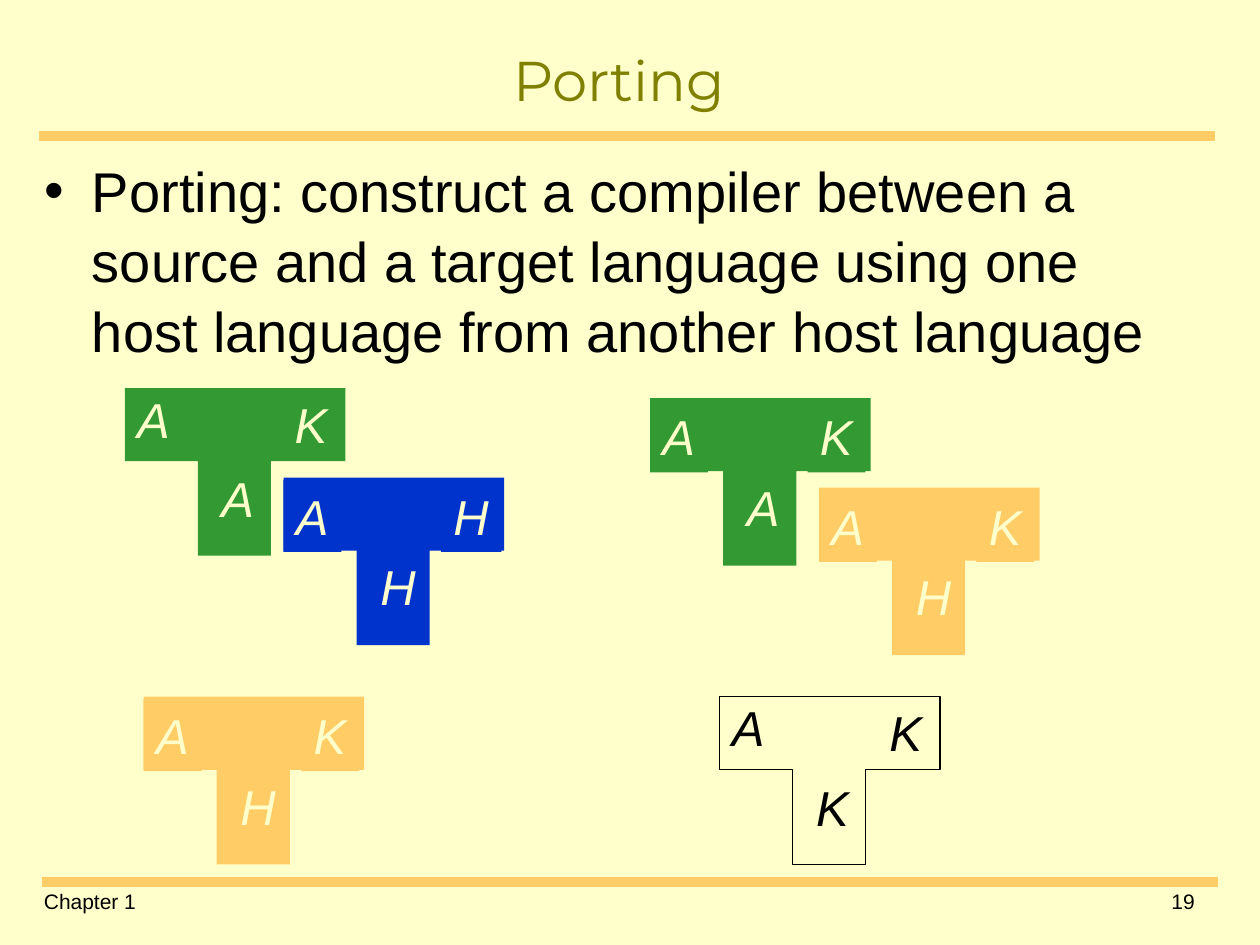
from lxml.etree import SubElement
from pptx import Presentation
from pptx.dml.color import RGBColor
from pptx.enum.shapes import MSO_CONNECTOR
from pptx.enum.text import MSO_ANCHOR, MSO_AUTO_SIZE, PP_ALIGN
from pptx.oxml.ns import qn
from pptx.util import Inches, Pt

CREAM = RGBColor(0xFF, 0xFF, 0xCC)
GOLD = RGBColor(0xFF, 0xCC, 0x66)
GREEN = RGBColor(0x33, 0x99, 0x33)
BLUE = RGBColor(0x00, 0x33, 0xCC)
OLIVE = RGBColor(0x80, 0x80, 0x00)
BLACK = RGBColor(0, 0, 0)

ARM = 0.58
WIDTH = 3 * ARM + 0.01
HEIGHT = 1.33
OUTLINE = [(WIDTH, 0), (WIDTH, ARM), (2 * ARM, ARM), (2 * ARM, HEIGHT),
           (ARM, HEIGHT), (ARM, ARM), (0, ARM)]


class Deck:
    font = "Arial"
    head = "Montserrat"

    def __init__(self):
        self.file = Presentation()
        self.file.slide_width = Inches(10)
        self.file.slide_height = Inches(7.5)
        self.slide = self.file.slides.add_slide(self.file.slide_layouts[1])
        fill = self.slide.background.fill
        fill.solid()
        fill.fore_color.rgb = CREAM

    def style(self, para, size, color, name=None, italic=False):
        para.font.name = name or self.font
        para.font.size = Pt(size)
        para.font.color.rgb = color
        para.font.italic = italic

    def place(self, shape, left, top, width, height):
        shape.left, shape.top = Inches(left), Inches(top)
        shape.width, shape.height = Inches(width), Inches(height)

    def title(self, text):
        shape = self.slide.shapes.title
        self.place(shape, 0.25, 0.25, 9.33, 0.75)
        frame = shape.text_frame
        frame.text = text
        frame.auto_size = MSO_AUTO_SIZE.NONE
        frame.vertical_anchor = MSO_ANCHOR.MIDDLE
        para = frame.paragraphs[0]
        para.alignment = PP_ALIGN.CENTER
        self.style(para, 32, OLIVE, self.head)

    def body(self, text):
        shape = self.slide.placeholders[1]
        self.place(shape, 0.25, 1.17, 9.33, 5.75)
        frame = shape.text_frame
        frame.text = text
        frame.auto_size = MSO_AUTO_SIZE.NONE
        para = frame.paragraphs[0]
        para.space_before = Pt(0)
        para.line_spacing = 1.04
        props = para._p.get_or_add_pPr()
        props.set("marL", str(Inches(0.38)))
        props.set("indent", str(Inches(-0.38)))
        SubElement(props, qn("a:buChar")).set("char", "•")
        self.style(para, 32, BLACK)

    def rule(self, left, right, y):
        line = self.slide.shapes.add_connector(
            MSO_CONNECTOR.STRAIGHT, Inches(left), Inches(y), Inches(right), Inches(y))
        line.line.color.rgb = GOLD
        line.line.width = Pt(6)
        SubElement(line._element.spPr, qn("a:effectLst"))

    def note(self, text, left, width, align):
        box = self.slide.shapes.add_textbox(
            Inches(left), Inches(7), Inches(width), Inches(0.33))
        box.text_frame.word_wrap = True
        box.text_frame.text = text
        para = box.text_frame.paragraphs[0]
        para.alignment = align
        self.style(para, 12, BLACK)

    def label(self, group, text, left, top, color, fill):
        width = 0.48 if text == "H" else 0.46
        box = group.shapes.add_textbox(
            Inches(left), Inches(top), Inches(width), Inches(0.57))
        if fill is not None:
            box.fill.solid()
            box.fill.fore_color.rgb = fill
        frame = box.text_frame
        frame.word_wrap = False
        frame.auto_size = MSO_AUTO_SIZE.SHAPE_TO_FIT_TEXT
        frame.text = text
        self.style(frame.paragraphs[0], 28, color, italic=True)

    def tee(self, left, top, names, fill=None, boxed=True):
        group = self.slide.shapes.add_group_shape()
        pen = group.shapes.build_freeform(Inches(left), Inches(top))
        pen.add_line_segments(
            [(Inches(left + x), Inches(top + y)) for x, y in OUTLINE], close=True)
        shape = pen.convert_to_shape()
        shape.shadow.inherit = False
        if fill is None:
            shape.fill.background()
            shape.line.color.rgb = BLACK
            shape.line.width = Pt(0.75)
        else:
            shape.fill.solid()
            shape.fill.fore_color.rgb = fill
            shape.line.fill.background()
        color = BLACK if fill is None else CREAM
        drops = (0.02, 0.58, 0.02) if boxed else (-0.04, 0.59, 0)
        for name, x, y in zip(names, (0, 0.67, 1.25), drops):
            self.label(group, name, left + x, top + y, color, fill if boxed else None)


def main():
    deck = Deck()
    deck.rule(0.31, 9.64, 1.08)
    deck.rule(0.33, 9.67, 7)
    deck.note("Chapter 1", 0.25, 2.25, PP_ALIGN.LEFT)
    deck.note("19", 8.33, 1.25, PP_ALIGN.RIGHT)
    deck.title("Porting")
    deck.body("Porting: construct a compiler between a source and a target "
              "language using one host language from another host language")
    deck.tee(0.99, 3.08, "AAK", GREEN, boxed=False)
    deck.tee(2.25, 3.79, "AHH", BLUE)
    deck.tee(6.5, 3.87, "AHK", GOLD)
    deck.tee(5.16, 3.16, "AAK", GREEN)
    deck.tee(1.14, 5.53, "AHK", GOLD)
    deck.tee(5.71, 5.53, "AKK", boxed=False)
    deck.file.save("out.pptx")


if __name__ == "__main__":
    main()
